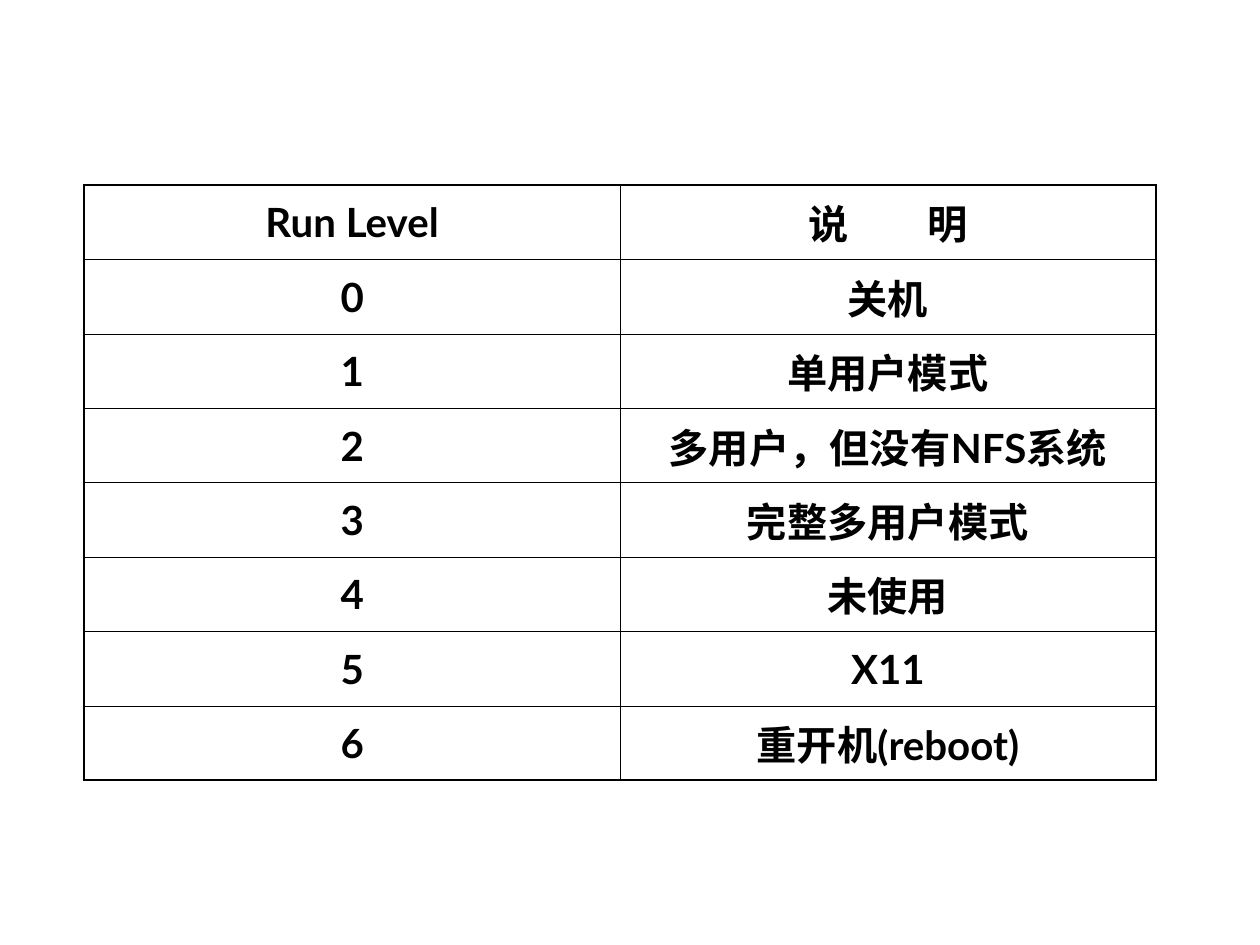
"""Build a slide with a table of the run levels and their meanings."""
import pptx
import pptx.dml.color
import pptx.enum.text
import pptx.oxml
import pptx.oxml.ns
import pptx.util

Cm, Pt = pptx.util.Cm, pptx.util.Pt

HEADING_GAP = 40
RUN_LEVELS = [
    (["Run Level"], ["说", " ", "明"]),
    (["0"], ["关机"]),
    (["1"], ["单用户模式"]),
    (["2"], ["多用户，但没有NFS系统"]),
    (["3"], ["完整多用户模式"]),
    (["4"], ["未使用"]),
    (["5"], ["X11"]),
    (["6"], ["重开机(reboot)"]),
]
COLORS = {"text": "000000", "border": "000000"}
FONT = "Lato"
LEFT, TOP = 1.7, 3.73
COLUMN_WIDTH, ROW_HEIGHT = 10.8, 1.5
OUTER, INNER = 1.08, 0.45


def add_border(cell, side, width):
    line = pptx.oxml.parse_xml(
        f'<a:ln{side} {pptx.oxml.ns.nsdecls("a")} w="{Pt(width)}">'
        f'<a:solidFill><a:srgbClr val="{COLORS["border"]}"/></a:solidFill>'
        f'</a:ln{side}>'
    )
    cell._tc.get_or_add_tcPr().append(line)


def write_cell(cell, pieces):
    cell.vertical_anchor = pptx.enum.text.MSO_ANCHOR.MIDDLE
    paragraph = cell.text_frame.paragraphs[0]
    paragraph.alignment = pptx.enum.text.PP_ALIGN.CENTER
    paragraph.space_before = Pt(5.8)
    for piece in pieces:
        run = paragraph.add_run()
        run.text = piece
        run.font.name = FONT
        run.font.size = Pt(23)
        run.font.bold = True
        run.font.color.rgb = pptx.dml.color.RGBColor.from_string(COLORS["text"])
        if piece == " ":
            run.font._element.set("spc", str(HEADING_GAP * 100))


def main():
    deck = pptx.Presentation()
    deck.slide_width, deck.slide_height = Cm(25.4), Cm(19.05)
    slide = deck.slides.add_slide(deck.slide_layouts[6])

    row_count, column_count = len(RUN_LEVELS), len(RUN_LEVELS[0])
    levels = slide.shapes.add_table(
        row_count, column_count, Cm(LEFT), Cm(TOP),
        Cm(COLUMN_WIDTH * column_count), Cm(ROW_HEIGHT * row_count),
    ).table
    levels.first_row = False
    levels.horz_banding = False

    for r, entries in enumerate(RUN_LEVELS):
        for c, pieces in enumerate(entries):
            cell = levels.cell(r, c)
            write_cell(cell, pieces)
            on_edge = {
                "L": c == 0,
                "R": c == column_count - 1,
                "T": r == 0,
                "B": r == row_count - 1,
            }
            for side, outer in on_edge.items():
                add_border(cell, side, OUTER if outer else INNER)
            cell.fill.background()

    deck.save("out.pptx")


if __name__ == "__main__":
    main()
